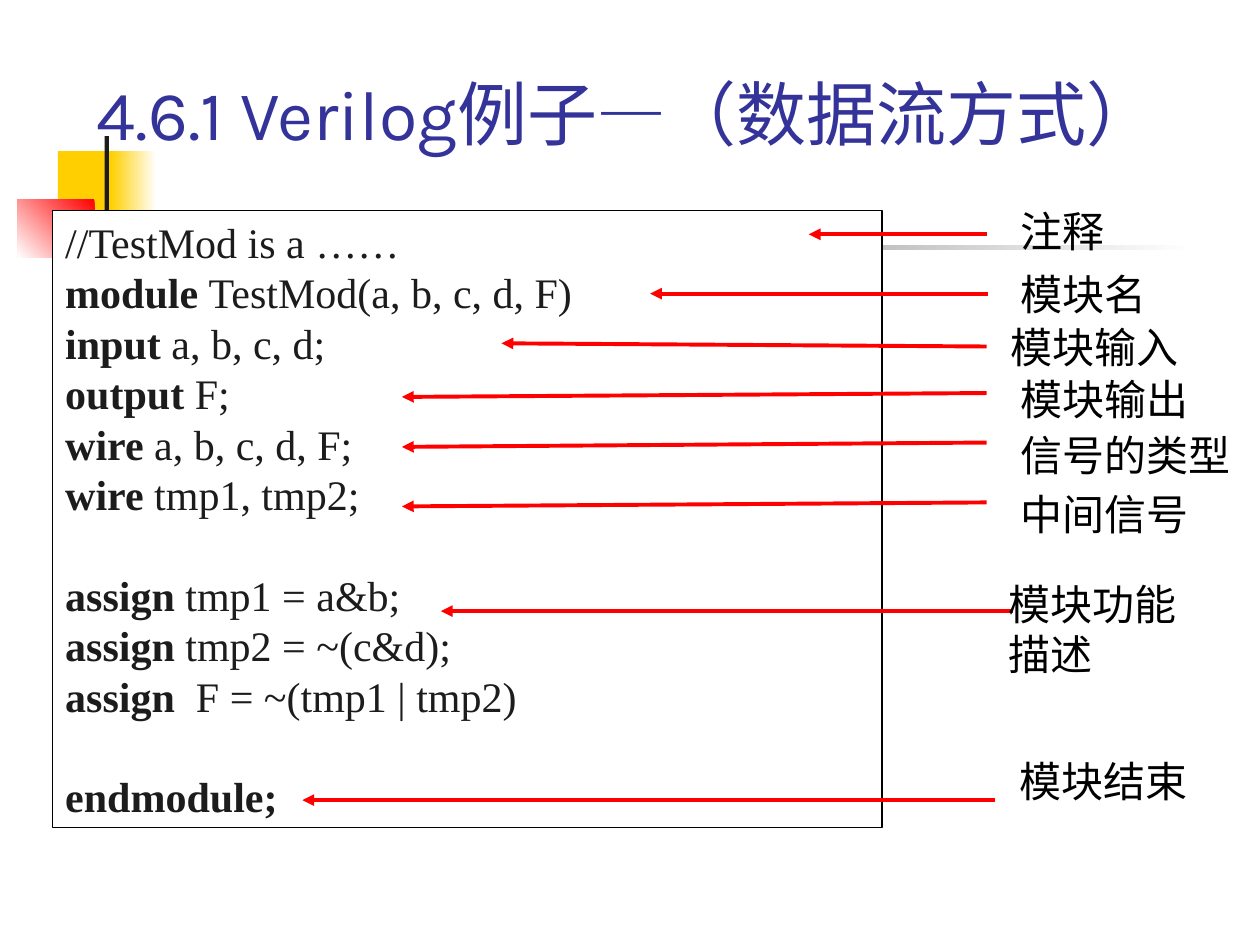
from pptx import Presentation
from pptx.dml.color import RGBColor
from pptx.enum.shapes import MSO_CONNECTOR, MSO_SHAPE
from pptx.enum.text import MSO_ANCHOR, MSO_AUTO_SIZE, PP_ALIGN
from pptx.oxml.ns import qn
from pptx.util import Pt
from lxml.etree import SubElement

COLOURS = {"title": "333399", "code": "1C1C1C", "label": "000000", "arrow": "FF0000",
           "yellow": "FFCF01", "red": "FF0000", "dark": "1C1C1C", "white": "FFFFFF"}
LINE_PITCH = Pt(28.8)


def colour(part):
    return RGBColor.from_string(COLOURS[part])


def add_text(paragraph, text, part, **formats):
    run = paragraph.add_run()
    run.text = text
    run.font.color.rgb = colour(part)
    for key, value in ({"name": "Times New Roman", "size": Pt(24)} | formats).items():
        setattr(run.font, key, value)


deck = Presentation()
deck.slide_width, deck.slide_height = Pt(720), Pt(540)
slide = deck.slides.add_slide(deck.slide_layouts[5])
shapes = slide.shapes

# Corner decoration: left, top, width, height, first colour, last colour, angle
decoration = [
    (33.1, 86.4, 34.6, 37.4, "yellow", None, 0),
    (63.4, 86.4, 25.9, 37.4, "white", "yellow", 180),
    (10.1, 113.8, 43.9, 33.1, "red", "white", 225),
    (59.8, 77.8, 2.4, 82.8, "dark", None, 0),
    (34.6, 140.2, 648, 2.4, "white", "dark", 180),
]
for left, top, width, height, first, last, angle in decoration:
    block = shapes.add_shape(MSO_SHAPE.RECTANGLE, Pt(left), Pt(top), Pt(width), Pt(height))
    block.shadow.inherit = False
    block.line.fill.background()
    if last:
        block.fill.gradient()
        block.fill.gradient_angle = angle
        for stop, part, position in zip(block.fill.gradient_stops, (first, last), (0, 1)):
            stop.color.rgb = colour(part)
            stop.position = position
    else:
        block.fill.solid()
        block.fill.fore_color.rgb = colour(first)

# Title, in front of the decoration
title = shapes.title
for key, value in {"left": 48.2, "top": 25.9, "width": 649.4, "height": 66.2}.items():
    setattr(title, key, Pt(value))
title_frame = title.text_frame
for key, value in {"word_wrap": True, "auto_size": MSO_AUTO_SIZE.NONE,
                   "vertical_anchor": MSO_ANCHOR.BOTTOM}.items():
    setattr(title_frame, key, value)
title_frame.paragraphs[0].alignment = PP_ALIGN.LEFT
add_text(title_frame.paragraphs[0], "4.6.1 Verilog例子—（数据流方式）", "title",
         name="Karla", size=Pt(40))
shapes._spTree.append(title._element)

# Code listing: keyword, rest of line, whether a gap precedes it
code_lines = [
    ("", "//TestMod is a ……", False),
    ("module ", "TestMod(a, b, c, d, F)", False),
    ("input ", "a, b, c, d;", False),
    ("output ", "F;", False),
    ("wire", " a, b, c, d, F;", False),
    ("wire", " tmp1, tmp2;", False),
    ("assign ", "tmp1 = a&b;", True),
    ("assign ", "tmp2 = ~(c&d);", False),
    ("assign ", " F = ~(tmp1 | tmp2)", False),
    ("endmodule;", "", True),
]
code_box = shapes.add_shape(MSO_SHAPE.RECTANGLE, Pt(30.2), Pt(120.2), Pt(473.8), Pt(352.8))
code_box.shadow.inherit = False
code_box.fill.solid()
code_box.fill.fore_color.rgb = colour("white")
code_box.line.color.rgb = colour("label")
code_box.line.width = Pt(0.75)
code_frame = code_box.text_frame
code_frame.word_wrap = True
code_frame.vertical_anchor = MSO_ANCHOR.TOP
for index, (keyword, rest, gap) in enumerate(code_lines):
    line = code_frame.add_paragraph() if index else code_frame.paragraphs[0]
    line.alignment = PP_ALIGN.LEFT
    line.line_spacing = LINE_PITCH
    if gap:
        line.space_before = LINE_PITCH
    for text, bold in ((keyword, True), (rest, False)):
        if text:
            add_text(line, text, "code", bold=bold)

# Labels with their arrows: text, label box, arrow start and end
notes = [
    ("注释", (576, 113.8, 113.8, 36), (563.8, 133.9), (462.2, 133.9)),
    ("模块名", (576, 149.8, 102.2, 36), (564.5, 167.8), (371.5, 167.8)),
    ("模块输入", (570.2, 180, 131.8, 36), (563.8, 198), (286.6, 196.2)),
    ("模块输出", (576, 210.2, 144, 36), (563.8, 224.6), (229.7, 226.8)),
    ("信号的类型", (576, 241.9, 144, 36), (563.8, 252.9), (229.7, 255.4)),
    ("中间信号", (576, 275.8, 144, 36), (563.8, 287.1), (229.7, 289.4)),
    ("模块功能描述", (569.5, 326.9, 131.8, 64.8), (578.9, 349.2), (252, 349.2)),
    ("模块结束", (575.3, 428.4, 126, 36), (568.8, 457.2), (172.8, 457.2)),
]
for text, box, start, end in notes:
    arrow = shapes.add_connector(MSO_CONNECTOR.STRAIGHT, *map(Pt, start + end))
    arrow.line.color.rgb = colour("arrow")
    arrow.line.width = Pt(2.25)
    properties = arrow._element.spPr
    SubElement(properties.find(qn("a:ln")), qn("a:tailEnd"), type="triangle")
    SubElement(properties, qn("a:effectLst"))

    label = shapes.add_textbox(*map(Pt, box)).text_frame
    label.word_wrap = True
    label.paragraphs[0].line_spacing = LINE_PITCH
    add_text(label.paragraphs[0], text, "label")

deck.save("out.pptx")
